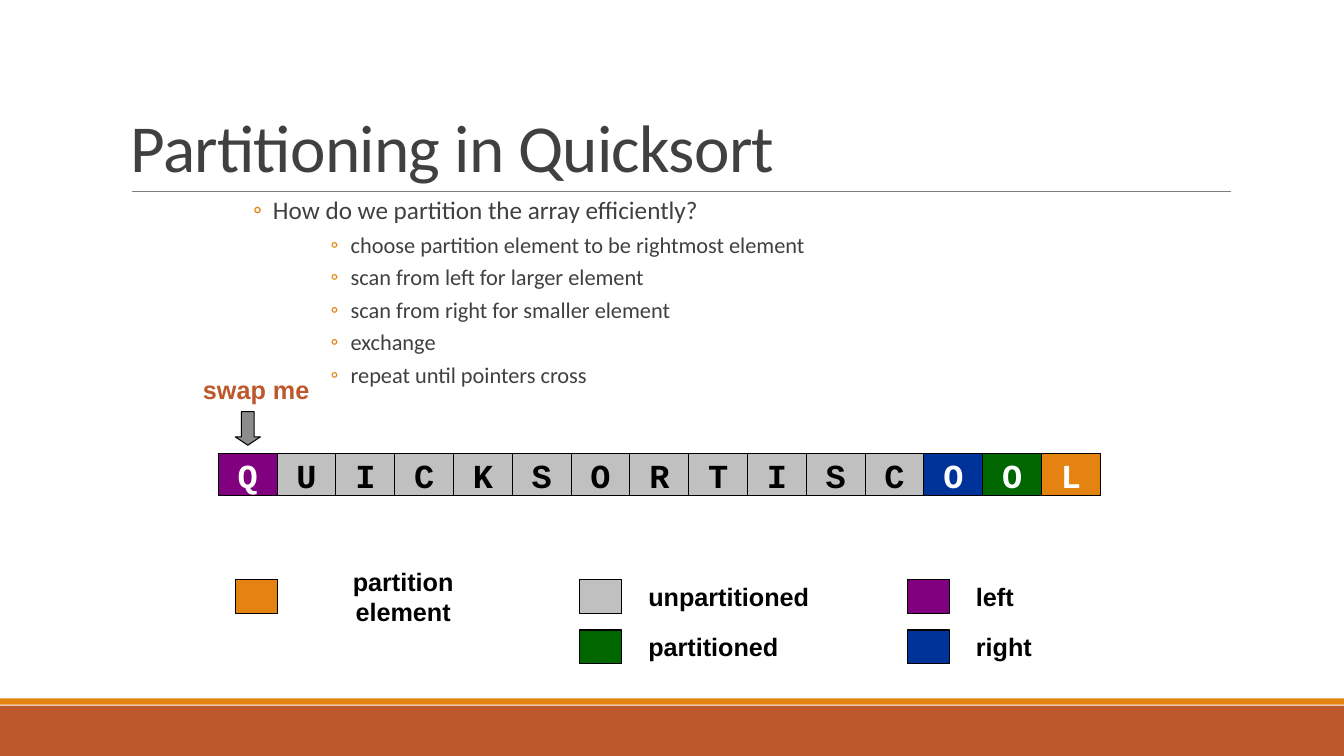
from dataclasses import dataclass
from lxml import etree
from pptx import Presentation
from pptx import util as u
from pptx.dml.color import RGBColor
from pptx.enum import shapes, text
from pptx.oxml.ns import qn

TITLE = "Partitioning in Quicksort"
QUESTION = "How do we partition the array efficiently?"
STEPS = [
    "choose partition element to be rightmost element",
    "scan from left for larger element",
    "scan from right for smaller element",
    "exchange",
    "repeat until pointers cross",
]
POINTER = "swap me"
# letters and the role each run of cells plays
ARRAY = [
    ("Q", "left"),
    ("UICKSORTISC", "unpartitioned"),
    ("O", "right"),
    ("O", "partitioned"),
    ("L", "partition element"),
]
# (swatch left, label width, alignment, roles from top to bottom)
LEGEND = [
    (224, 208, "center", ["partition element"]),
    (552, 208, "left", ["unpartitioned", "partitioned"]),
    (864, 104, "left", ["left", "right"]),
]


@dataclass(frozen=True)
class Theme:
    accent: str = "E48312"
    rust: str = "BD582C"
    ink: str = "404040"
    rule: str = "808080"
    arrow: str = "8C8C8C"
    black: str = "000000"
    white: str = "FFFFFF"
    body_font: str = "Calibri"
    label_font: str = "Arial"
    cell_font: str = "Courier New"
    title_size: int = 48
    question_size: int = 18
    step_size: int = 16
    label_size: int = 18
    cell_size: int = 24


THEME = Theme()
ROLE_COLORS = {
    "partition element": THEME.accent,
    "unpartitioned": "C0C0C0",
    "partitioned": "006600",
    "left": "800080",
    "right": "003399",
}
ALIGN = {"left": text.PP_ALIGN.LEFT, "center": text.PP_ALIGN.CENTER}
MIDDLE = text.MSO_ANCHOR.MIDDLE
RECTANGLE = shapes.MSO_SHAPE.RECTANGLE


def px(*lengths):
    """Turn lengths at 96 px to the inch into EMU."""
    return [u.Emu(length * 9525) for length in lengths]


def add_box(slide, box, fill, outlined=True, preset=RECTANGLE):
    shape = slide.shapes.add_shape(preset, *px(*box))
    shape.shadow.inherit = False
    shape.fill.solid()
    shape.fill.fore_color.rgb = RGBColor.from_string(fill)
    if outlined:
        shape.line.color.rgb = RGBColor.from_string(THEME.black)
        shape.line.width = u.Pt(0.75)
    else:
        shape.line.fill.background()
    return shape


def style(paragraph, name, size, color, bold=False):
    font = paragraph.font
    font.name, font.size, font.bold = name, u.Pt(size), bold
    font.color.rgb = RGBColor.from_string(color)


def write(shape, words, font, align="left", wrap=False, anchor=MIDDLE):
    """Put one styled paragraph in a shape; font holds the arguments of style()."""
    frame = shape.text_frame
    frame.word_wrap, frame.vertical_anchor = wrap, anchor
    paragraph = frame.paragraphs[0]
    paragraph.text, paragraph.alignment = words, ALIGN[align]
    style(paragraph, *font)
    return paragraph


def add_bullet(paragraph, margin):
    properties = paragraph._p.get_or_add_pPr()
    left, hanging = px(margin, -19)
    properties.set("marL", str(left))
    properties.set("indent", str(hanging))
    color = etree.SubElement(properties, qn("a:buClr"))
    etree.SubElement(color, qn("a:srgbClr"), val=THEME.accent)
    etree.SubElement(properties, qn("a:buFont"), typeface=THEME.body_font)
    etree.SubElement(properties, qn("a:buChar"), char="◦")


def add_frame(slide):
    add_box(slide, (0, 672, 1280, 48), THEME.rust, outlined=False)
    add_box(slide, (0, 665, 1280, 6), THEME.accent, outlined=False)
    rule = slide.shapes.add_connector(
        shapes.MSO_CONNECTOR.STRAIGHT, *px(126, 182, 1172, 182))
    rule.line.color.rgb = RGBColor.from_string(THEME.rule)
    rule.line.width = u.Pt(0.5)
    etree.SubElement(rule._element.spPr, qn("a:effectLst"))


def add_title(slide):
    box = slide.shapes.add_textbox(*px(115, 30, 1056, 152))
    title = write(box, TITLE, (THEME.body_font, THEME.title_size, THEME.ink),
                  wrap=True, anchor=text.MSO_ANCHOR.BOTTOM)
    title.line_spacing = 0.85
    title._p.pPr.find(qn("a:defRPr")).set("spc", "-50")


def add_outline(slide):
    frame = slide.shapes.add_textbox(*px(220, 184, 840, 202)).text_frame
    frame.word_wrap = True
    frame.margin_left = frame.margin_right = 0
    lines = [(QUESTION, 1, 40, THEME.question_size)]
    lines += [(step, 2, 114, THEME.step_size) for step in STEPS]
    for index, (words, level, margin, size) in enumerate(lines):
        paragraph = frame.add_paragraph() if index else frame.paragraphs[0]
        paragraph.text, paragraph.level = words, level
        paragraph.line_spacing = 0.9
        paragraph.space_before = u.Pt(2 if index else 0)
        paragraph.space_after = u.Pt(4)
        add_bullet(paragraph, margin)
        style(paragraph, THEME.body_font, size, THEME.ink)


def add_pointer(slide):
    arrow = add_box(slide, (224, 392, 24, 32), THEME.arrow,
                    preset=shapes.MSO_SHAPE.DOWN_ARROW)
    arrow.adjustments[0], arrow.adjustments[1] = 0.5, 0.333
    label = slide.shapes.add_textbox(*px(176, 352, 136, 38))
    write(label, POINTER, (THEME.label_font, THEME.label_size, THEME.rust, True),
          "center", wrap=True, anchor=text.MSO_ANCHOR.TOP)


def add_array(slide):
    left, top, width, height = 208, 432, 56, 40
    cells = [(letter, role) for letters, role in ARRAY for letter in letters]
    for index, (letter, role) in enumerate(cells):
        cell = add_box(slide, (left + index * width, top, width, height),
                       ROLE_COLORS[role])
        color = THEME.black if role == "unpartitioned" else THEME.white
        write(cell, letter, (THEME.cell_font, THEME.cell_size, color, True), "center")


def add_legend(slide):
    top, pitch, height = 552, 48, 32
    for left, label_width, align, roles in LEGEND:
        for row, role in enumerate(roles):
            y = top + row * pitch
            add_box(slide, (left, y, 40, height), ROLE_COLORS[role])
            label = slide.shapes.add_textbox(*px(left + 56, y, label_width, height))
            write(label, role,
                  (THEME.label_font, THEME.label_size, THEME.black, True), align)


def main():
    deck = Presentation()
    deck.slide_width, deck.slide_height = px(1280, 720)
    slide = deck.slides.add_slide(deck.slide_layouts[6])
    for add_part in (add_frame, add_title, add_outline, add_pointer,
                     add_array, add_legend):
        add_part(slide)
    deck.save("out.pptx")


if __name__ == "__main__":
    main()
